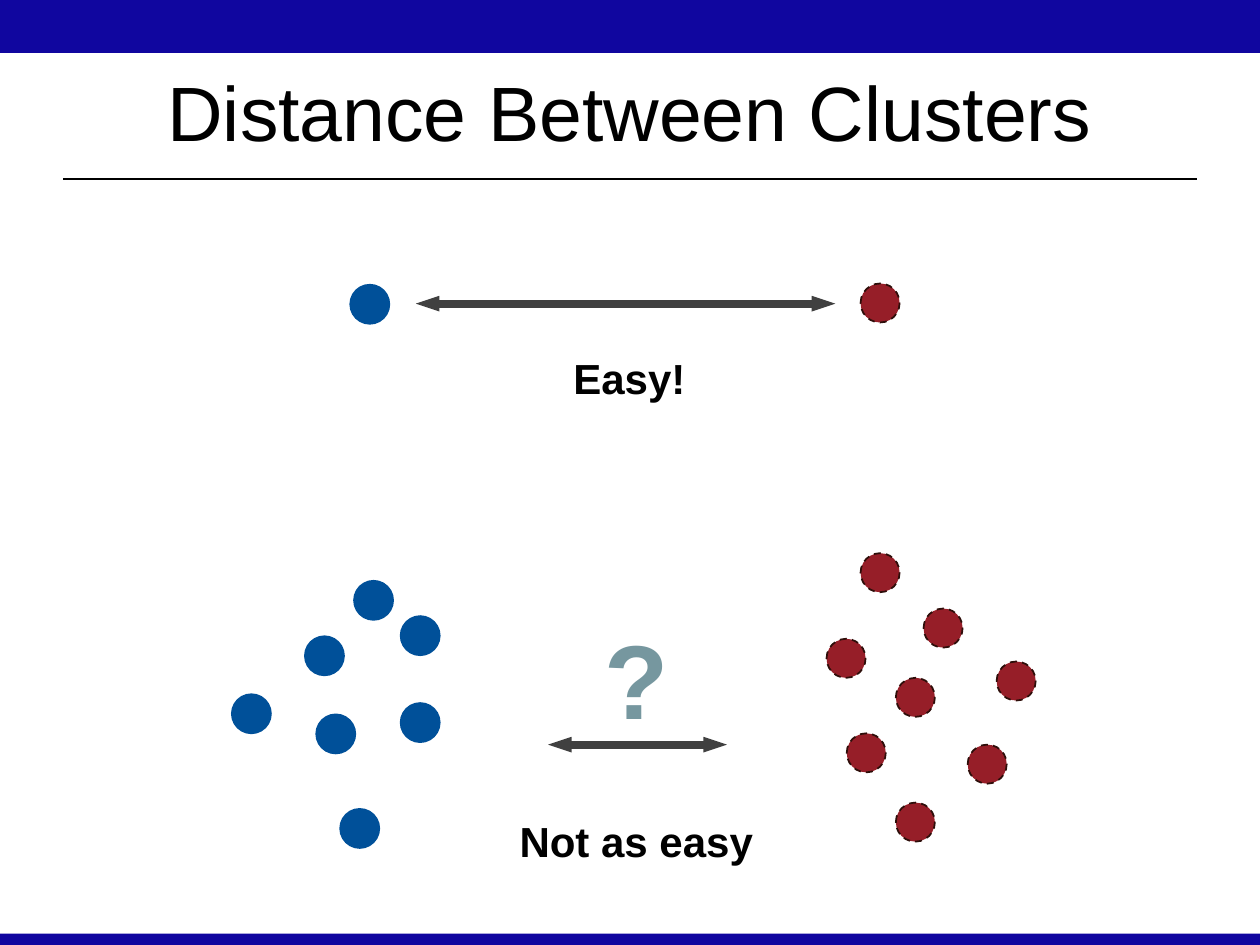
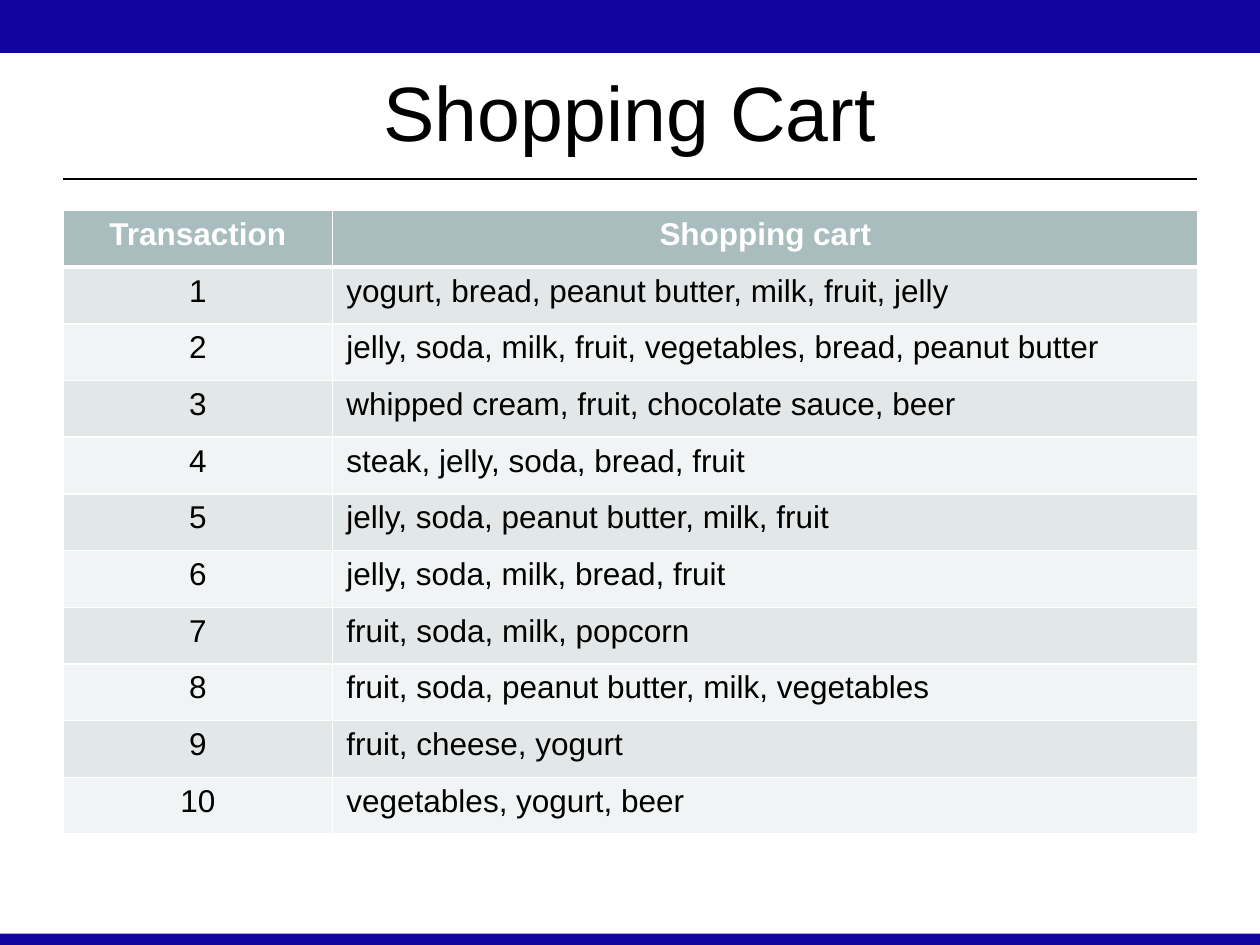
from lxml.etree import SubElement
from pptx import Presentation
from pptx.dml.color import RGBColor
from pptx.enum.dml import MSO_LINE
from pptx.enum.shapes import MSO_CONNECTOR, MSO_SHAPE
from pptx.enum.text import MSO_ANCHOR, PP_ALIGN
from pptx.oxml.ns import qn
from pptx.util import Inches, Pt

COLORS = {
    "band": "10069F", "text": "000000", "white": "FFFFFF", "arrow": "404040",
    "query": "76979F", "blue": "005099", "red": "961E28", "rim": "2E0E0A",
    "header": "AABDBE", "odd": "E2E8E8", "even": "F1F4F4",
}
FONT = "Arial"
DOT = 0.31
BLUE_DOTS = [(2.42, 5.05), (1.84, 5.51), (3.18, 5.58), (2.7, 6.42),
             (2.81, 4.61), (2.51, 5.67), (3.18, 4.89)]
RED_DOTS = [(7.11, 5.38), (6.83, 4.39), (6.72, 5.82), (7.33, 4.83),
            (6.56, 5.07), (7.68, 5.91), (7.11, 6.37), (7.91, 5.25)]
CARTS = [
    "yogurt, bread, peanut butter, milk, fruit, jelly",
    "jelly, soda, milk, fruit, vegetables, bread, peanut butter",
    "whipped cream, fruit, chocolate sauce, beer",
    "steak, jelly, soda, bread, fruit",
    "jelly, soda, peanut butter, milk, fruit",
    "jelly, soda, milk, bread, fruit",
    "fruit, soda, milk, popcorn",
    "fruit, soda, peanut butter, milk, vegetables",
    "fruit, cheese, yogurt",
    "vegetables, yogurt, beer",
]


def color(name):
    return RGBColor.from_string(COLORS[name])


def paint(item, name):
    item.fill.solid()
    item.fill.fore_color.rgb = color(name)


def write(frame, text, size, tone="text", bold=False, align=PP_ALIGN.CENTER):
    para = frame.paragraphs[0]
    para.alignment = align
    run = para.add_run()
    run.text = text
    font = run.font
    font.name, font.size, font.bold = FONT, Pt(size), bold
    font.color.rgb = color(tone)


def add_text(slide, box, text, size, **style):
    frame = slide.shapes.add_textbox(*map(Inches, box)).text_frame
    frame.word_wrap = True
    write(frame, text, size, **style)
    return frame


def add_band(slide, top, height):
    band = slide.shapes.add_shape(
        MSO_SHAPE.RECTANGLE, 0, Inches(top), Inches(10), Inches(height))
    band.shadow.inherit = False
    paint(band, "band")
    band.line.fill.background()


def add_line(slide, left, right, y, tone, width):
    line = slide.shapes.add_connector(
        MSO_CONNECTOR.STRAIGHT, *map(Inches, (left, y, right, y)))
    line.line.color.rgb = color(tone)
    line.line.width = Pt(width)
    SubElement(line._element.spPr, qn("a:effectLst"))
    return line


def add_arrow(slide, left, right, y):
    """Draw a level arrow with a head at both ends."""
    arrow = add_line(slide, left, right, y, "arrow", 4.5)
    stroke = arrow.line._get_or_add_ln()
    for end in ("a:headEnd", "a:tailEnd"):
        SubElement(stroke, qn(end), type="triangle", w="sm", len="med")


def add_dot(slide, spot, tone):
    """Draw one data point; red points have a dashed dark rim."""
    left, top = spot
    dot = slide.shapes.add_shape(
        MSO_SHAPE.OVAL, *map(Inches, (left, top, DOT, DOT)))
    dot.shadow.inherit = False
    paint(dot, tone)
    dot.line.width = Pt(1)
    dot.line.color.rgb = color("rim" if tone == "red" else tone)
    if tone == "red":
        dot.line.dash_style = MSO_LINE.DASH


def add_slide(deck, title):
    """Add a slide with the shared bands, rule and title."""
    slide = deck.slides.add_slide(deck.slide_layouts[6])
    add_band(slide, 0, 0.42)
    add_band(slide, 7.41, 0.09)
    add_line(slide, 0.5, 9.5, 1.42, "text", 1.25)
    frame = add_text(slide, (0.5, 0.25, 9, 1.25), title, 44)
    frame.vertical_anchor = MSO_ANCHOR.MIDDLE
    return slide


def add_edges(cell, top, bottom):
    """Give a cell white borders; top and bottom widths are in points."""
    props = cell._tc.get_or_add_tcPr()
    for side, width in zip("LRTB", (1, 1, top, bottom)):
        edge = SubElement(props, qn(f"a:ln{side}"), w=str(Pt(width)))
        fill = SubElement(edge, qn("a:solidFill"))
        SubElement(fill, qn("a:srgbClr"), val=COLORS["white"])


def add_grid(slide, rows):
    """Add a two-column table whose first row is the header."""
    widths, height = (2.14, 6.87), 0.45
    grid = slide.shapes.add_table(
        len(rows), len(widths), Inches(0.5), Inches(1.67),
        Inches(sum(widths)), Inches(height * len(rows))).table
    for col, width in zip(grid.columns, widths):
        col.width = Inches(width)
    for i, row in enumerate(rows):
        head = i == 0
        shade = "header" if head else "odd" if i % 2 else "even"
        for j, text in enumerate(row):
            cell = grid.cell(i, j)
            cell.margin_left = cell.margin_right = Inches(0.11)
            cell.margin_top = cell.margin_bottom = Inches(0.05)
            add_edges(cell, 3 if i == 1 else 1, 3 if head else 1)
            paint(cell, shade)
            write(cell.text_frame, text, 18,
                  tone="white" if head else "text", bold=head,
                  align=PP_ALIGN.CENTER if head or j == 0 else PP_ALIGN.LEFT)


def show_gaps(deck):
    slide = add_slide(deck, "Distance Between Clusters")
    add_arrow(slide, 3.3, 6.63, 2.41)
    add_text(slide, (4.37, 2.75, 1.25, 0.51), "Easy!", 24, bold=True)
    add_text(slide, (3.77, 6.42, 2.56, 0.61), "Not as easy", 24, bold=True)
    add_arrow(slide, 4.35, 5.77, 5.91)
    add_text(slide, (4.7, 4.83, 0.52, 1.11), "?", 60, tone="query",
             bold=True, align=PP_ALIGN.LEFT)
    for spot in [(2.78, 2.26), *BLUE_DOTS]:
        add_dot(slide, spot, "blue")
    for spot in [(6.83, 2.25), *RED_DOTS]:
        add_dot(slide, spot, "red")


def show_carts(deck):
    slide = add_slide(deck, "Shopping Cart")
    rows = [(str(i), cart) for i, cart in enumerate(CARTS, 1)]
    add_grid(slide, [("Transaction", "Shopping cart"), *rows])


def main():
    deck = Presentation()
    deck.slide_width, deck.slide_height = Inches(10), Inches(7.5)
    show_gaps(deck)
    show_carts(deck)
    deck.save("out.pptx")


if __name__ == "__main__":
    main()
